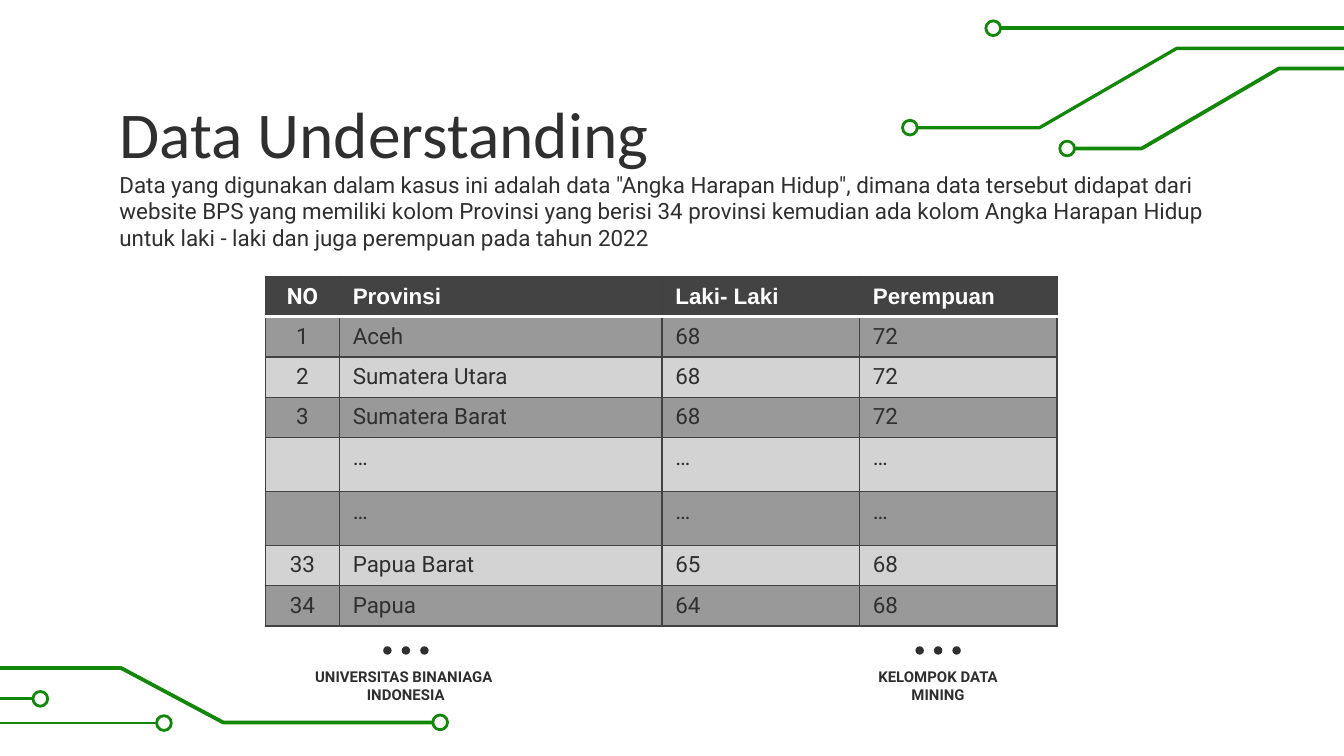
from dataclasses import dataclass

from lxml.etree import SubElement
from pptx import Presentation
from pptx.dml.color import RGBColor
from pptx.enum.shapes import MSO_CONNECTOR, MSO_SHAPE
from pptx.enum.text import MSO_ANCHOR, PP_ALIGN
from pptx.oxml import parse_xml
from pptx.oxml.ns import nsdecls, qn
from pptx.util import Emu, Inches, Pt

COLUMNS, ROWS = 80, 45
CELL = Inches(10) / COLUMNS


@dataclass(frozen=True)
class Theme:
    ink: str = "302F2F"
    circuit: str = "138808"
    white: str = "FFFFFF"
    header: str = "434343"
    border: str = "424242"
    bands: tuple[str, str] = ("999999", "D3D3D3")
    body_font: str = "Roboto"
    title_font: str = "Calibri"
    header_font: str = "Arial"
    title_size: float = 35
    body_size: float = 12
    footer_size: float = 8


@dataclass(frozen=True)
class Box:
    column: float
    row: float
    width: float
    height: float

    def emu(self) -> tuple[Emu, ...]:
        return tuple(grid(n) for n in (self.column, self.row, self.width, self.height))


@dataclass(frozen=True)
class Trace:
    route: tuple[tuple[float, float], ...]
    weight: float = 1.5


@dataclass(frozen=True)
class Footer:
    lines: tuple[str, ...]
    column: float


THEME = Theme()
RING_RADIUS = 0.44
DOT_SIZE, DOT_PITCH = 0.5, 1.1
FOOTER_WIDTH = 28.16

TRACES = (
    Trace(((0, 43.04), (9.76, 43.04))),
    Trace(((0, 41.6), (2.4, 41.6))),
    Trace(((0, 39.76), (7.2, 39.76), (13.28, 43), (26.2, 43)), 2),
    Trace(((80, 2.88), (70.04, 2.88), (61.88, 7.6), (54.16, 7.6)), 1.75),
    Trace(((80, 4.08), (76.12, 4.08), (67.96, 8.84), (63.52, 8.84)), 2),
    Trace(((80, 1.68), (59.12, 1.68)), 2),
)
FOOTERS = (
    Footer(("UNIVERSITAS BINANIAGA ", "INDONESIA"), 10.08),
    Footer(("KELOMPOK DATA", "MINING"), 41.76),
)
SUMMARY = (
    'Data yang digunakan dalam kasus ini adalah data "Angka Harapan Hidup", '
    "dimana data tersebut didapat dari website BPS yang memiliki kolom Provinsi "
    "yang berisi 34 provinsi kemudian ada kolom Angka Harapan Hidup untuk "
    "laki - laki dan juga perempuan pada tahun 2022"
)
LIFE_EXPECTANCY = (
    ("NO", "Provinsi", "Laki- Laki", "Perempuan"),
    ("1", "Aceh", "68", "72"),
    ("2", "Sumatera Utara", "68", "72"),
    ("3", "Sumatera Barat", "68", "72"),
    ("", "…", "…", "…"),
    ("", "…", "…", "…"),
    ("33", "Papua Barat", "65", "68"),
    ("34", "Papua", "64", "68"),
)
COLUMN_WIDTHS = (4.4, 19.2, 11.76, 11.76)
ROW_HEIGHT = 2.36


def grid(units: float) -> Emu:
    return Emu(round(units * CELL))


def rgb(code: str) -> RGBColor:
    return RGBColor.from_string(code)


def write(frame, *lines: str, size: float = THEME.body_size, font: str = THEME.body_font,
          color: str = THEME.ink, bold: bool = False, align=PP_ALIGN.LEFT) -> None:
    for index, line in enumerate(lines):
        paragraph = frame.add_paragraph() if index else frame.paragraphs[0]
        paragraph.alignment = align
        run = paragraph.add_run()
        run.text = line
        run.font.size, run.font.name, run.font.bold = Pt(size), font, bold
        run.font.color.rgb = rgb(color)


def add_text(slide, box: Box, *lines: str, right_inset: float = 0.1, **style) -> None:
    frame = slide.shapes.add_textbox(*box.emu()).text_frame
    frame.word_wrap = True
    frame.margin_left = frame.margin_top = frame.margin_bottom = Inches(0.1)
    frame.margin_right = Inches(right_inset)
    write(frame, *lines, **style)


def add_circle(slide, column: float, row: float, radius: float):
    box = Box(column - radius, row - radius, 2 * radius, 2 * radius)
    circle = slide.shapes.add_shape(MSO_SHAPE.OVAL, *box.emu())
    circle.shadow.inherit = False
    return circle


def draw_trace(slide, trace: Trace) -> None:
    *bends, (ring_column, ring_row) = trace.route
    side = RING_RADIUS if bends[-1][0] > ring_column else -RING_RADIUS
    points = [(grid(x), grid(y)) for x, y in (*bends, (ring_column + side, ring_row))]
    if len(points) == 2:
        wire = slide.shapes.add_connector(MSO_CONNECTOR.STRAIGHT, *points[0], *points[1])
        SubElement(wire._element.spPr, qn("a:effectLst"))
    else:
        builder = slide.shapes.build_freeform(*points[0])
        builder.add_line_segments(points[1:], close=False)
        wire = builder.convert_to_shape()
        wire.shadow.inherit = False
        wire.fill.background()
    ring = add_circle(slide, ring_column, ring_row, RING_RADIUS)
    ring.fill.background()
    for part, weight in ((wire, trace.weight), (ring, 1.5)):
        part.line.color.rgb = rgb(THEME.circuit)
        part.line.width = Pt(weight)


def draw_footer(slide, footer: Footer) -> None:
    add_text(slide, Box(footer.column, 38.96, FOOTER_WIDTH, 4), *footer.lines,
             size=THEME.footer_size, bold=True, align=PP_ALIGN.CENTER)
    center = footer.column + FOOTER_WIDTH / 2
    for step in (-1, 0, 1):
        dot = add_circle(slide, center + step * DOT_PITCH, 38.72, DOT_SIZE / 2)
        dot.fill.solid()
        dot.fill.fore_color.rgb = rgb(THEME.ink)
        dot.line.fill.background()


def set_borders(cell, **edges: tuple[str, float]) -> None:
    for index, (edge, (color, weight)) in enumerate(edges.items()):
        cell._tc.get_or_add_tcPr().insert(index, parse_xml(
            f'<a:ln{edge} {nsdecls("a")} w="{Pt(weight)}"><a:solidFill>'
            f'<a:srgbClr val="{color}"/></a:solidFill></a:ln{edge}>'))


def draw_table(slide, records: tuple[tuple[str, ...], ...]) -> None:
    box = Box(15.8, 16.44, sum(COLUMN_WIDTHS), ROW_HEIGHT * len(records))
    table = slide.shapes.add_table(len(records), len(COLUMN_WIDTHS), *box.emu()).table
    for column, width in zip(table.columns, COLUMN_WIDTHS):
        column.width = grid(width)
    thin, divider = (THEME.border, 0.75), (THEME.white, 2)
    for r, record in enumerate(records):
        table.rows[r].height = grid(ROW_HEIGHT)
        for c, value in enumerate(record):
            cell, heading = table.cell(r, c), r == 0
            cell.vertical_anchor = MSO_ANCHOR.MIDDLE if heading else MSO_ANCHOR.TOP
            cell.fill.solid()
            cell.fill.fore_color.rgb = rgb(THEME.header if heading else THEME.bands[(r - 1) % 2])
            write(cell.text_frame, value, bold=heading,
                  font=THEME.header_font if heading and c else THEME.body_font,
                  color=THEME.white if heading else THEME.ink,
                  align=PP_ALIGN.LEFT if c else PP_ALIGN.CENTER)
            set_borders(cell, L=thin, R=thin, T=divider if r == 1 else thin,
                        B=divider if heading else thin)


def main() -> None:
    deck = Presentation()
    deck.slide_width, deck.slide_height = grid(COLUMNS), grid(ROWS)
    slide = deck.slides.add_slide(deck.slide_layouts[6])
    for trace in TRACES:
        draw_trace(slide, trace)
    add_text(slide, Box(6.32, 4.72, 67.44, 5.04), "Data Understanding",
             size=THEME.title_size, font=THEME.title_font)
    add_text(slide, Box(6.32, 9.36, 67.44, 2.8), SUMMARY, right_inset=0)
    for footer in FOOTERS:
        draw_footer(slide, footer)
    draw_table(slide, LIFE_EXPECTANCY)
    deck.save("out.pptx")


if __name__ == "__main__":
    main()
